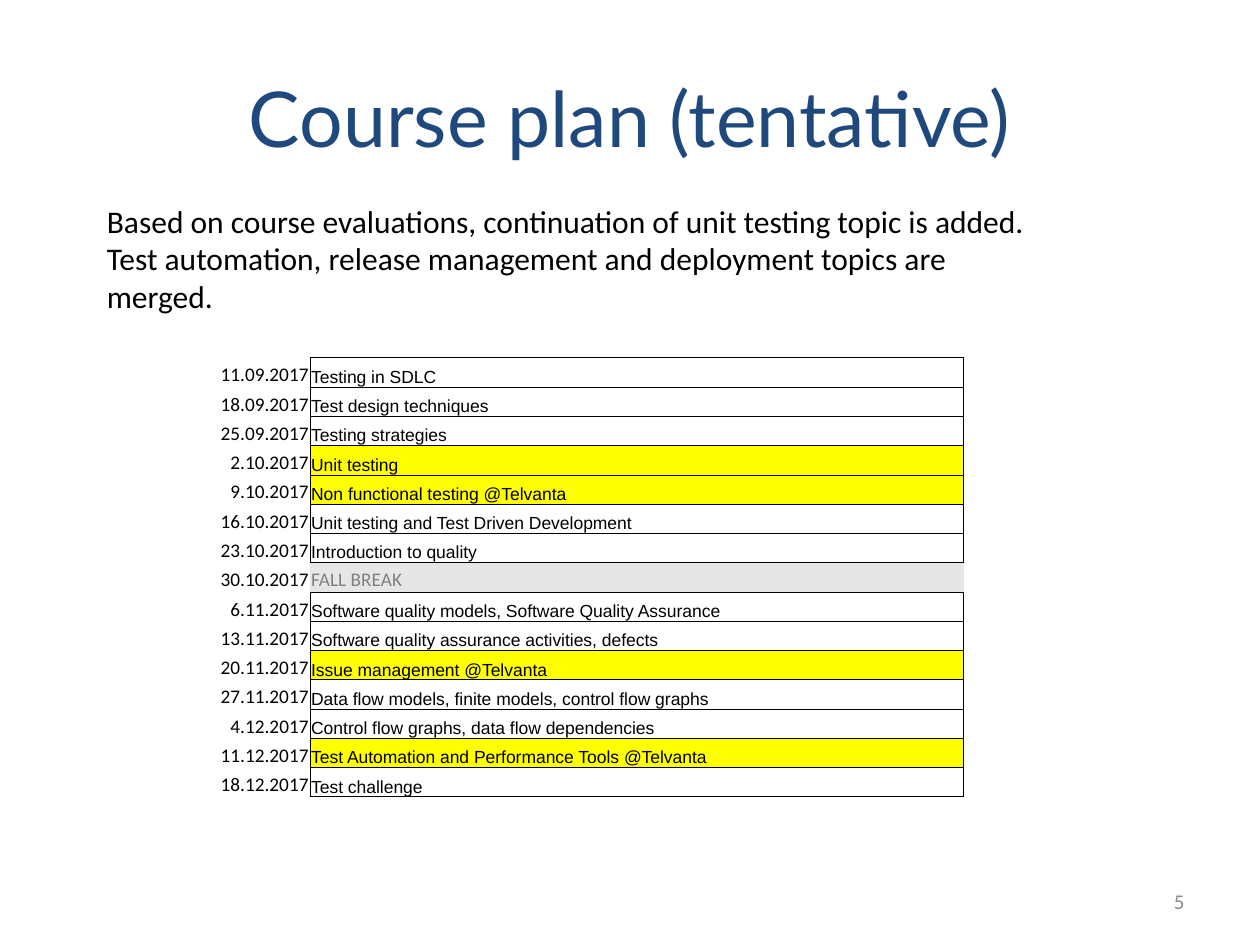
from lxml import etree
from pptx import Presentation
from pptx import util as u
from pptx.dml.color import RGBColor
from pptx.enum import text
from pptx.oxml.ns import qn

COLORS = {
    "title": "1F497D", "text": "000000", "number": "8C8C8C", "border": "000000",
    "plain": "FFFFFF", "changed": "FFFF00", "break": "E7E6E6", "muted": "808080",
}
NO_STYLE = "{2D5ABB26-0587-4C30-8999-92F81FD0307C}"
PLAN = [
    ("11.09.2017", "Testing in SDLC", "plain"),
    ("18.09.2017", "Test design techniques", "plain"),
    ("25.09.2017", "Testing strategies", "plain"),
    ("2.10.2017", "Unit testing", "changed"),
    ("9.10.2017", "Non functional testing @Telvanta", "changed"),
    ("16.10.2017", "Unit testing and Test Driven Development", "plain"),
    ("23.10.2017", "Introduction to quality", "plain"),
    ("30.10.2017", "FALL BREAK", "break"),
    ("6.11.2017", "Software quality models, Software Quality Assurance", "plain"),
    ("13.11.2017", "Software quality assurance activities, defects", "plain"),
    ("20.11.2017", "Issue management @Telvanta", "changed"),
    ("27.11.2017", "Data flow models, finite models, control flow graphs", "plain"),
    ("4.12.2017", "Control flow graphs, data flow dependencies", "plain"),
    ("11.12.2017", "Test Automation and Performance Tools @Telvanta", "changed"),
    ("18.12.2017", "Test challenge", "plain"),
]
LEFT, CENTER, RIGHT = text.PP_ALIGN.LEFT, text.PP_ALIGN.CENTER, text.PP_ALIGN.RIGHT
TOP, MIDDLE = text.MSO_ANCHOR.TOP, text.MSO_ANCHOR.MIDDLE


class SlideBuilder:
    """Holds the style and the current slide, and adds elements to it."""

    def __init__(self, slide, colors):
        self.s = slide
        self.colors = colors

    def set_text(self, tf, words, size, font, color, align):
        tf.text = words
        p = tf.paragraphs[0]
        p.alignment = align
        for r in p.runs:
            r.font.size = u.Pt(size)
            r.font.name = font
            r.font.color.rgb = RGBColor.from_string(self.colors[color])

    def text_box(self, box, words, size, font, color, align=LEFT, anchor=TOP):
        sp = self.s.shapes.add_textbox(*map(u.Inches, box))
        tf = sp.text_frame
        tf.word_wrap = True
        tf.vertical_anchor = anchor
        self.set_text(tf, words, size, font, color, align)

    def borders(self, cell, sides):
        tc_pr = cell._tc.get_or_add_tcPr()
        for i, side in enumerate("LRTB"):
            ln = etree.Element(qn(f"a:ln{side}"), w=str(u.Pt(0.5)))
            if side in sides:
                fill = etree.SubElement(ln, qn("a:solidFill"))
                etree.SubElement(fill, qn("a:srgbClr"), val=self.colors["border"])
            else:
                etree.SubElement(ln, qn("a:noFill"))
            tc_pr.insert(i, ln)

    def cell(self, cell, words, size, font, color, align, fill, sides):
        cell.margin_left = cell.margin_right = cell.margin_top = u.Inches(0.01)
        cell.margin_bottom = 0
        cell.vertical_anchor = text.MSO_ANCHOR.BOTTOM
        self.set_text(cell.text_frame, words, size, font, color, align)
        if fill:
            cell.fill.solid()
            cell.fill.fore_color.rgb = RGBColor.from_string(self.colors[fill])
        else:
            cell.fill.background()
        self.borders(cell, sides)

    def schedule(self, box, widths, rows):
        frame = self.s.shapes.add_table(len(rows), len(widths), *map(u.Inches, box))
        table = frame.table
        table.first_row = table.horz_banding = False
        table._tbl.tblPr.find(qn("a:tableStyleId")).text = NO_STYLE
        for column, width in zip(table.columns, widths):
            column.width = u.Inches(width)
        for i, (date, topic, kind) in enumerate(rows):
            pause = kind == "break"
            size, font, color = (11, "Calibri", "muted") if pause else (10, "Arial", "text")
            self.cell(table.cell(i, 0), date, 11, "Calibri", "text", RIGHT,
                      None, "" if pause else "R")
            self.cell(table.cell(i, 1), topic, size, font, color, LEFT,
                      kind, "TB" if pause else "LRTB")


def main():
    prs = Presentation()
    prs.slide_width, prs.slide_height = u.Inches(10), u.Inches(7.5)
    b = SlideBuilder(prs.slides.add_slide(prs.slide_layouts[6]), COLORS)
    b.text_box((0.5, 0.3, 9, 1.25), "Course plan (tentative)", 44, "Lato", "title",
               CENTER, MIDDLE)
    b.text_box((7.17, 6.95, 2.33, 0.4), "5", 12, "Calibri", "number", RIGHT, MIDDLE)
    b.schedule((1.3, 2.84, 6.35, 3.49), (1.16, 5.19), PLAN)
    b.text_box((0.75, 1.55, 7.56, 1.01),
               "Based on course evaluations, continuation of unit testing topic is added. "
               "Test automation, release management and deployment topics are merged.",
               18, "Calibri", "text")
    prs.save("out.pptx")


if __name__ == "__main__":
    main()
